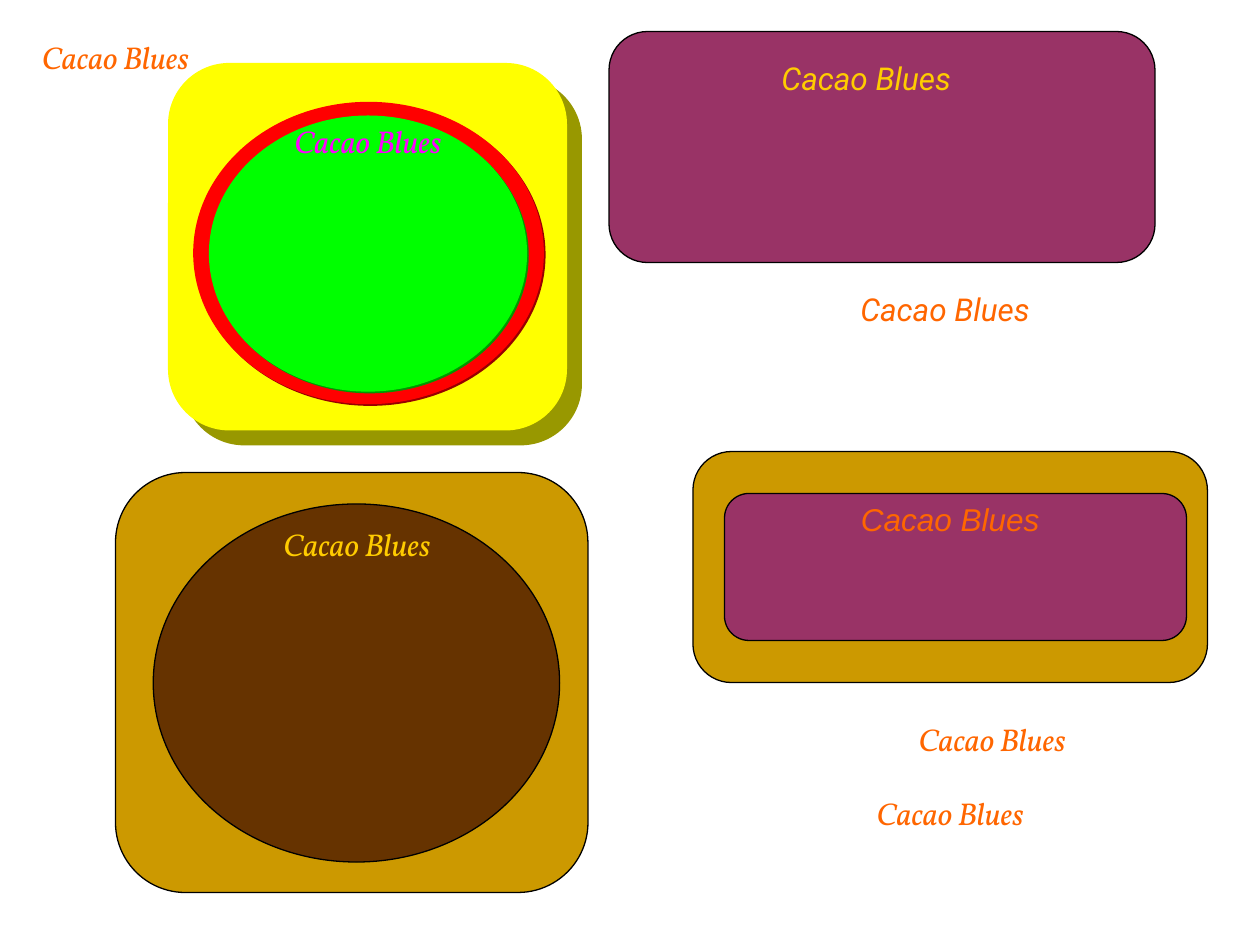
from lxml.etree import SubElement
from pptx import Presentation
from pptx.dml.color import RGBColor
from pptx.enum.shapes import MSO_SHAPE as SHAPE
from pptx.enum.text import MSO_ANCHOR as ANCHOR, PP_ALIGN as ALIGN
from pptx.oxml.ns import qn
from pptx.util import Inches, Pt

COLS, ROWS = 120, 90
W, H = Inches(10), Inches(7.5)
NAME = "Cacao Blues"
GOLD, PLUM, ORANGE, YELLOW = "CC9900", "993366", "FF6600", "FFCC00"


def rgb(value):
    """Turn a hex string into a colour."""
    return RGBColor.from_string(value)


def place(box):
    """Convert grid columns and rows to slide lengths."""
    x, y, w, h = box
    return [round(v) for v in (x * W / COLS, y * H / ROWS, w * W / COLS, h * H / ROWS)]


def within(box, part):
    """Shift a part by the corner of its box."""
    return (box[0] + part[0], box[1] + part[1], part[2], part[3])


def add_shadow(s, color, distance):
    """Give a shape a solid shadow to its lower right."""
    effects = s._element.spPr.find(qn("a:effectLst"))
    shadow = SubElement(effects, qn("a:outerShdw"), dist=str(Pt(distance)),
                        dir="2700000", algn="ctr", rotWithShape="0")
    SubElement(shadow, qn("a:srgbClr"), val=color)


def add_shape(shapes, kind, box, fill, shadow=None):
    """Add a filled shape, either outlined or shadowed."""
    s = shapes.add_shape(kind, *place(box))
    s.shadow.inherit = False
    s.fill.solid()
    s.fill.fore_color.rgb = rgb(fill)
    if shadow:
        s.line.fill.background()
        add_shadow(s, *shadow)
    else:
        s.line.color.rgb = rgb("000000")
        s.line.width = Pt(0.75)


def add_label(shapes, box, font, color):
    """Write the name at the top centre of its box."""
    tf = shapes.add_textbox(*place(box)).text_frame
    tf.word_wrap = False
    tf.vertical_anchor = ANCHOR.TOP
    p = tf.paragraphs[0]
    p.text = NAME
    p.alignment = ALIGN.CENTER
    p.font.name = font
    p.font.size = Pt(18)
    p.font.italic = True
    p.font.color.rgb = rgb(color)


def add_panel(shapes, box, label, font, color, fill, inner=None):
    """Add a wide rounded panel with an optional inner panel and a label."""
    add_shape(shapes, SHAPE.ROUNDED_RECTANGLE, box, fill)
    if inner:
        part, inner_fill = inner
        add_shape(shapes, SHAPE.ROUNDED_RECTANGLE, within(box, part), inner_fill)
    add_label(shapes, within(box, label), font, color)


def add_badge(shapes, box, label, color, fill, ovals, shadow=None):
    """Group a rounded square with its ovals and label."""
    group = shapes.add_group_shape().shapes
    add_shape(group, SHAPE.ROUNDED_RECTANGLE, box, fill, shadow)
    for part, oval_fill, oval_shadow in ovals:
        add_shape(group, SHAPE.OVAL, within(box, part), oval_fill, oval_shadow)
    add_label(group, within(box, label), "Vollkorn", color)


def main():
    """Build the slide of name designs."""
    prs = Presentation()
    prs.slide_width, prs.slide_height = W, H
    shapes = prs.slides.add_slide(prs.slide_layouts[6]).shapes

    add_panel(shapes, (66, 43, 49, 22), (6, 4, 37, 12), "Arial", ORANGE, GOLD,
              inner=((3, 4, 44, 14), PLUM))
    add_panel(shapes, (58, 3, 52, 22), (6, 2, 37, 17), "Roboto", YELLOW, PLUM)
    add_badge(shapes, (11, 45, 45, 40), (7.2, 4.4, 31.6, 25.2), YELLOW, GOLD,
              [((3.6, 3, 38.7, 34.1), "663300", None)])
    add_badge(shapes, (16, 6, 38, 35), (4.7, 5, 28.7, 21.2), "FF00FF", "FFFF00",
              [((2.4, 3.7, 33.4, 28.8), "FF0000", ("980000", 1.4)),
               ((3.9, 5, 30.3, 26.3), "00FF00", ("009800", 1.4))],
              shadow=("989800", 12.1))

    for box, font in [((0, 3, 22, 10), "Vollkorn"), ((79, 27, 22, 10), "Roboto"),
                      ((76, 68, 37, 11), "Vollkorn"), ((72, 75, 37, 10), "Vollkorn")]:
        add_label(shapes, box, font, ORANGE)
    prs.save("out.pptx")


if __name__ == "__main__":
    main()
